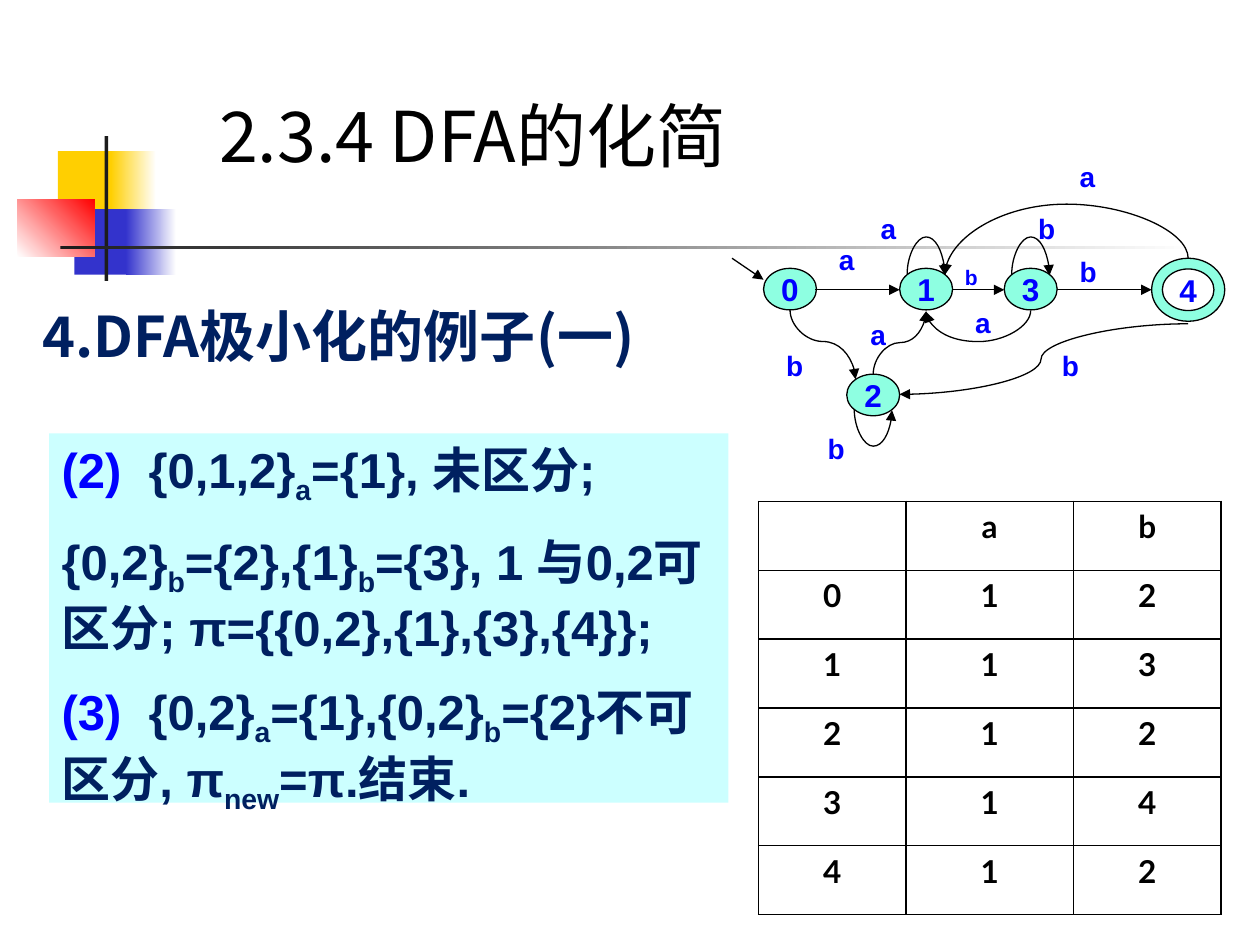
from lxml.etree import SubElement
from pptx import Presentation
from pptx.dml.color import RGBColor
from pptx.enum.shapes import MSO_CONNECTOR as Link, MSO_SHAPE as Shape
from pptx.enum.text import MSO_ANCHOR as Anchor, PP_ALIGN as Align
from pptx.oxml.ns import qn
from pptx.util import Inches, Pt

BLACK, WHITE, INK = "000000", "FFFFFF", "1C1C1C"
NAVY, BLUE, MINT, CYAN = "002060", "0000FF", "8EFFE1", "CCFFFF"
GOLD, INDIGO, RED = "FFCF01", "3333CC", "FF0000"
HEADING, BODY, TABLE = "Noto Sans CJK JP", "Arial", "Lato"


def color(code):
    return RGBColor.from_string(code)


class Slide:
    line_width = Pt(0.75)

    def __init__(self, page):
        self.page = page
        self.shapes = page.shapes

    def style(self, para, size, ink, font=BODY, bold=True, align=Align.LEFT):
        para.alignment = align
        para.font.size = Pt(size)
        para.font.name = font
        para.font.bold = bold
        para.font.color.rgb = color(ink)

    def block(self, at, fill, kind=Shape.RECTANGLE, outlined=False):
        shape = self.shapes.add_shape(kind, *map(Inches, at))
        shape.shadow.inherit = False
        shape.fill.solid()
        shape.fill.fore_color.rgb = color(fill)
        if outlined:
            shape.line.color.rgb = color(BLACK)
            shape.line.width = self.line_width
        else:
            shape.line.fill.background()
        return shape

    def fade(self, at, start, end, angle=0):
        """Rectangle with a two-colour gradient, angle counter-clockwise."""
        fill = self.block(at, start).fill
        fill.gradient()
        fill.gradient_angle = angle
        for stop, code, place in zip(fill.gradient_stops, (start, end), (0, 1)):
            stop.color.rgb = color(code)
            stop.position = place

    def text(self, at, words, size, ink, anchor=Anchor.TOP, **look):
        frame = self.shapes.add_textbox(*map(Inches, at)).text_frame
        frame.word_wrap = True
        frame.vertical_anchor = anchor
        para = frame.paragraphs[0]
        para.text = words
        self.style(para, size, ink, **look)

    def steps(self, at, lines):
        """Panel of (number, formula) lines; odd parts between _ are subscripts."""
        frame = self.block(at, CYAN).text_frame
        frame.word_wrap = True
        frame.vertical_anchor = Anchor.TOP
        for index, (number, formula) in enumerate(lines):
            para = frame.add_paragraph() if index else frame.paragraphs[0]
            if index:
                para.space_before = Pt(14)
            if number:
                tabs = SubElement(para._p.get_or_add_pPr(), qn("a:tabLst"))
                SubElement(tabs, qn("a:tab"), pos=str(Inches(0.69)), algn="l")
                span = para.add_run()
                span.text = number + "\t"
                span.font.color.rgb = color(BLUE)
            for part, words in enumerate(formula.split("_")):
                span = para.add_run()
                span.text = words
                if part % 2:
                    span._r.get_or_add_rPr().set("baseline", "-25000")
            self.style(para, 28, NAVY)

    def state(self, at, name, kind=Shape.OVAL):
        shape = self.block(at, MINT, kind, outlined=True)
        frame = shape.text_frame
        frame.word_wrap = False
        frame.vertical_anchor = Anchor.MIDDLE
        para = frame.paragraphs[0]
        para.text = name
        self.style(para, 18, BLUE, align=Align.CENTER)
        return shape

    def arrow(self, start, end, kind=Link.STRAIGHT):
        link = self.shapes.add_connector(kind, *map(Inches, start + end))
        link.line.color.rgb = color(BLACK)
        link.line.width = self.line_width
        SubElement(link.line._get_or_add_ln(), qn("a:tailEnd"), type="triangle")
        SubElement(link._element.spPr, qn("a:effectLst"))
        return link

    def bend(self, link, ratio):
        guides = link._element.spPr.find(qn("a:prstGeom")).get_or_add_avLst()
        SubElement(guides, qn("a:gd"), name="adj1", fmla=f"val {round(ratio * 100000)}")

    def arc(self, start, end, turn):
        """Curved arrow that leaves vertically and turns at the height given."""
        link = self.arrow(start, end, Link.CURVE)
        (x1, y1), (x2, y2) = start, end
        across, down = x2 - x1, y2 - y1
        width, height = max(abs(down), 0.01), abs(across)
        link.left = Inches((x1 + x2 - width) / 2)
        link.top = Inches((y1 + y2 - height) / 2)
        link.width, link.height = Inches(width), Inches(height)
        frame = link._element.spPr.find(qn("a:xfrm"))
        frame.set("rot", str(90 * 60000))
        frame.set("flipH", str(int(down < 0)))
        frame.set("flipV", str(int(across > 0)))
        self.bend(link, (turn - y1) / (down or width))

    def table(self, at, rows, widths):
        table = self.shapes.add_table(len(rows), len(widths), *map(Inches, at)).table
        for column, width in zip(table.columns, widths):
            column.width = Inches(width)
        for r, row in enumerate(rows):
            for c, words in enumerate(row):
                cell = table.cell(r, c)
                para = cell.text_frame.paragraphs[0]
                para.text = words
                self.style(para, 18, BLACK, TABLE, align=Align.CENTER)
                props = cell._tc.get_or_add_tcPr()
                for side in ("lnL", "lnR", "lnT", "lnB"):
                    edge = SubElement(props, qn(f"a:{side}"), w=str(Pt(1)))
                    paint = SubElement(edge, qn("a:solidFill"))
                    SubElement(paint, qn("a:srgbClr"), val=BLACK)
                cell.fill.background()


def draw_ornament(slide):
    slide.block((0.46, 1.2, 0.48, 0.52), GOLD)
    slide.fade((0.88, 1.2, 0.36, 0.52), GOLD, WHITE)
    slide.block((0.59, 1.66, 0.46, 0.52), INDIGO)
    slide.fade((1, 1.66, 0.4, 0.52), INDIGO, WHITE)
    slide.fade((0.14, 1.58, 0.61, 0.46), WHITE, RED, 45)
    slide.block((0.83, 1.08, 0.03, 1.15), INK)
    slide.fade((0.48, 1.95, 9, 0.03), INK, WHITE)


def draw_automaton(slide):
    for name, x, y in (("0", 6.06, 2.13), ("1", 7.14, 2.13),
                       ("3", 7.97, 2.13), ("2", 6.72, 2.97)):
        slide.state((x, y, 0.42, 0.33), name)
    final = slide.state((9.14, 2.05, 0.58, 0.5), "4", Shape.DONUT)
    final.adjustments[0] = 0.17

    slide.arrow((5.81, 2.05), (6.06, 2.22))
    for left, right in ((6.47, 7.14), (7.56, 7.97), (8.39, 9.14)):
        slide.arrow((left, 2.3), (right, 2.3))
    for start, end, turn in (
        ((6.27, 2.46), (6.79, 3.01), 2.71),
        ((6.93, 2.97), (7.35, 2.47), 2.72),
        ((7.2, 2.18), (7.5, 2.18), 1.88),
        ((8.03, 2.18), (8.33, 2.18), 1.88),
        ((6.78, 3.25), (7.08, 3.25), 3.55),
        ((8.18, 2.47), (7.35, 2.47), 2.72),
        ((9.43, 2.05), (7.5, 2.18), 1.62),
    ):
        slide.arc(start, end, turn)
    slide.bend(slide.arrow((9.43, 2.57), (7.14, 3.13), Link.CURVE), 0.51)

    labels = {
        "a": ((6.81, 2.47), (8.47, 1.22), (7.64, 2.38), (6.89, 1.63), (6.56, 1.88)),
        "b": ((6.47, 3.38), (8.14, 1.63), (8.47, 1.97), (6.14, 2.72), (8.33, 2.72)),
    }
    for letter, places in labels.items():
        for place in places:
            slide.text((*place, 0.42, 0.37), letter, 16, BLUE)
    slide.text((7.56, 2.05, 0.42, 0.3), "b", 12, BLUE)


def main():
    deck = Presentation()
    deck.slide_width, deck.slide_height = Inches(10), Inches(7.5)
    slide = Slide(deck.slides.add_slide(deck.slide_layouts[6]))
    draw_ornament(slide)
    slide.text((-0.1, 2.34, 5.57, 0.64), "4.DFA极小化的例子(一)", 32, NAVY,
               font=HEADING, align=Align.CENTER)
    transitions = ["ab", "12", "13", "12", "14", "12"]
    names = ["", *"01234"]
    slide.table((6.02, 3.98, 3.67, 3.28),
                [(name, *targets) for name, targets in zip(names, transitions)],
                (1.17, 1.33, 1.17))
    slide.steps((0.39, 3.44, 5.39, 2.93), (
        ("(2)", "{0,1,2}_a_={1}, 未区分;"),
        ("", "{0,2}_b_={2},{1}_b_={3}, 1 与0,2可区分; π={{0,2},{1},{3},{4}};"),
        ("(3)", "{0,2}_a_={1},{0,2}_b_={2}不可区分, π_new_=π.结束."),
    ))
    draw_automaton(slide)
    slide.text((1.64, 0.7, 5.86, 0.73), "2.3.4 DFA的化简", 40, BLACK,
               Anchor.MIDDLE, font=HEADING, bold=False)
    deck.save("out.pptx")


if __name__ == "__main__":
    main()
